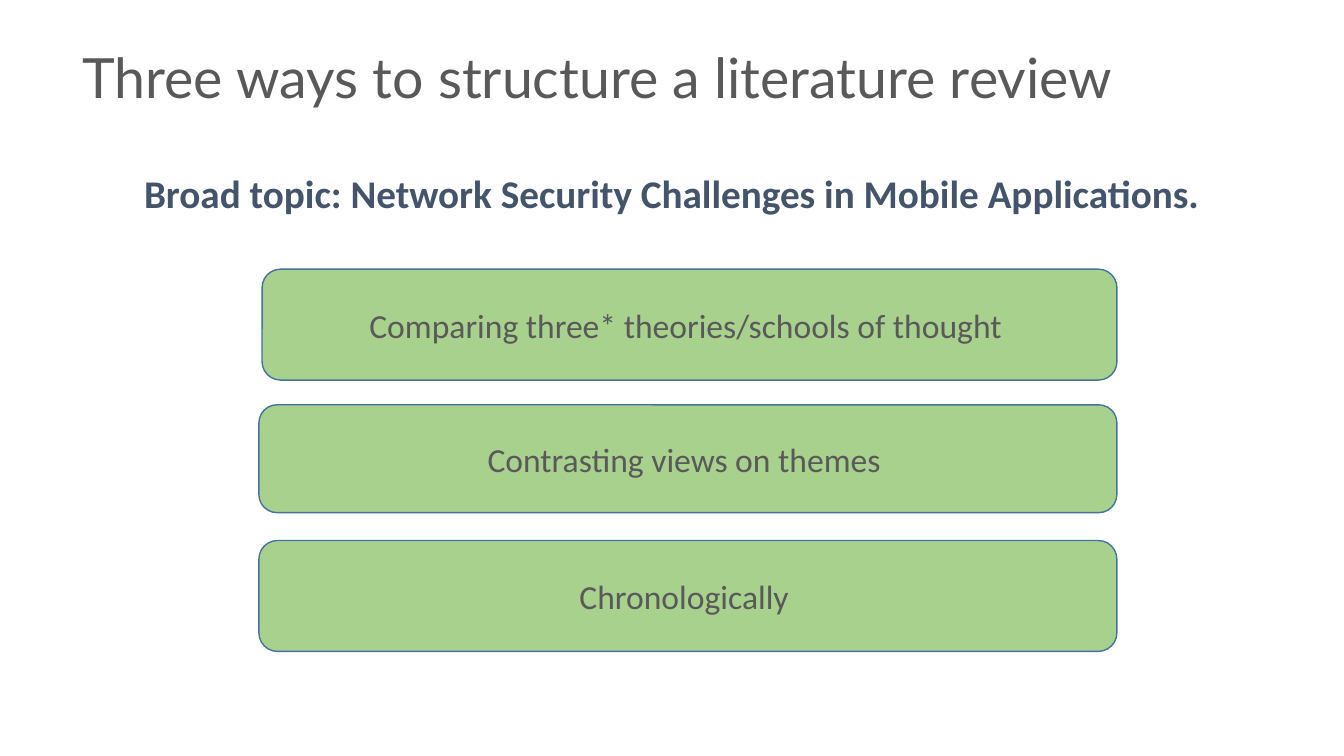
from dataclasses import dataclass

from pptx import Presentation
from pptx import util as u
from pptx.dml.color import RGBColor
from pptx.enum import shapes, text
from pptx.shapes.autoshape import Shape
from pptx.slide import Slide

COLORS = {
    "background": "FFFFFF",
    "body": "595959",
    "topic": "44546A",
    "box_fill": "A9D18E",
    "box_line": "43739E",
}
BOX_RIGHT = 797.8
BOX_TOP = 192.3
BOX_PITCH = 96.9


@dataclass
class Label:
    wording: str
    size: float
    font: str = "Calibri"
    color: str = "body"
    bold: bool = False
    align: text.PP_ALIGN = text.PP_ALIGN.LEFT
    anchor: text.MSO_ANCHOR = text.MSO_ANCHOR.TOP
    line_spacing: float = 1.0


@dataclass
class Approach:
    wording: str
    left: float
    height: float


def rgb(name: str) -> RGBColor:
    return RGBColor.from_string(COLORS[name])


def write_label(shape: Shape, label: Label) -> None:
    frame = shape.text_frame
    frame.word_wrap = True
    frame.vertical_anchor = label.anchor
    frame.text = label.wording
    paragraph = frame.paragraphs[0]
    paragraph.alignment = label.align
    paragraph.line_spacing = label.line_spacing
    font = paragraph.runs[0].font
    font.name = label.font
    font.size = u.Pt(label.size)
    font.bold = label.bold
    font.color.rgb = rgb(label.color)


def add_text(slide: Slide, left: float, top: float, width: float,
             height: float, label: Label) -> None:
    box = slide.shapes.add_textbox(u.Pt(left), u.Pt(top), u.Pt(width), u.Pt(height))
    write_label(box, label)


def add_approach(slide: Slide, top: float, approach: Approach) -> None:
    box = slide.shapes.add_shape(
        shapes.MSO_SHAPE.ROUNDED_RECTANGLE,
        u.Pt(approach.left), u.Pt(top),
        u.Pt(BOX_RIGHT - approach.left), u.Pt(approach.height),
    )
    box.shadow.inherit = False
    box.fill.solid()
    box.fill.fore_color.rgb = rgb("box_fill")
    box.line.color.rgb = rgb("box_line")
    box.line.width = u.Pt(1)
    write_label(box, Label(approach.wording, 24, align=text.PP_ALIGN.CENTER,
                           anchor=text.MSO_ANCHOR.MIDDLE))


def main() -> None:
    presentation = Presentation()
    presentation.slide_width = u.Pt(960)
    presentation.slide_height = u.Pt(540)
    slide = presentation.slides.add_slide(presentation.slide_layouts[6])
    slide.background.fill.solid()
    slide.background.fill.fore_color.rgb = rgb("background")

    # Title and topic
    add_text(slide, 51.8, 12.2, 833, 90,
             Label("Three ways to structure a literature review", 39.6, font="Lato",
                   anchor=text.MSO_ANCHOR.MIDDLE, line_spacing=0.9))
    add_text(slide, 95.8, 117.4, 825.8, 150.5,
             Label("Broad topic: Network Security Challenges in Mobile Applications.",
                   28, color="topic", bold=True))

    # Three approaches, evenly stacked
    approaches = [
        Approach("Comparing three* theories/schools of thought ", 187.2, 79.2),
        Approach("Contrasting views on themes ", 185, 77),
        Approach("Chronologically ", 185, 79.2),
    ]
    for index, approach in enumerate(approaches):
        add_approach(slide, BOX_TOP + index * BOX_PITCH, approach)

    presentation.save("out.pptx")


if __name__ == "__main__":
    main()
